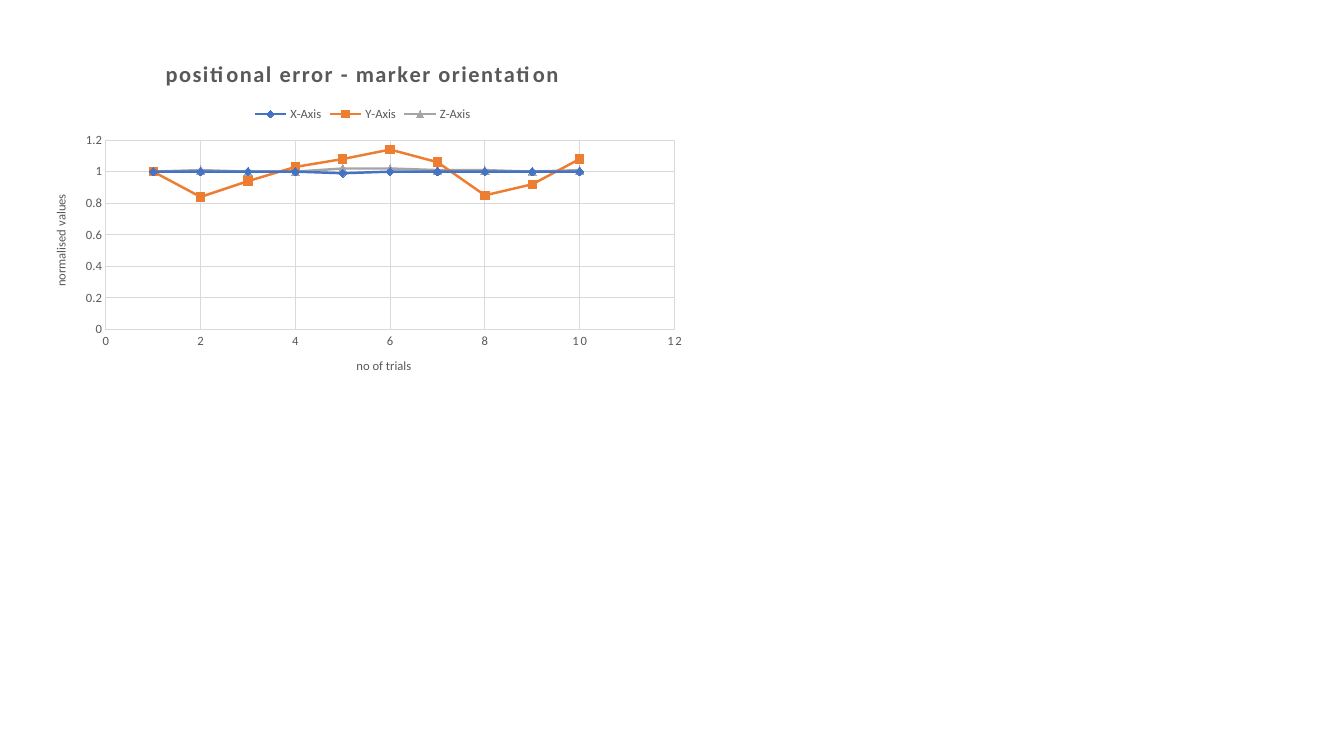
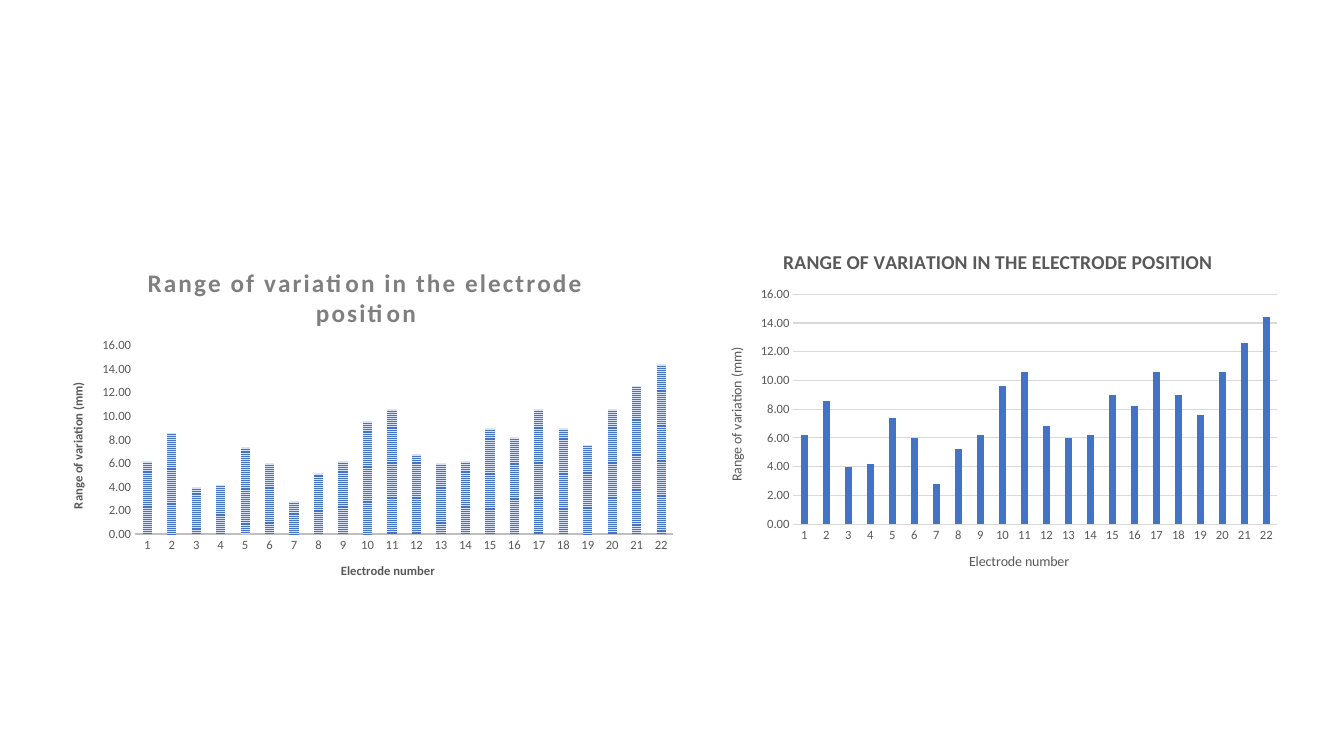
from lxml import etree
from pptx import Presentation
from pptx.chart.data import CategoryChartData, XyChartData
from pptx.dml.color import RGBColor
from pptx.enum.chart import XL_CHART_TYPE as Kind
from pptx.enum.chart import XL_LEGEND_POSITION as LegendSpot
from pptx.enum.chart import XL_MARKER_STYLE as Marker
from pptx.enum.chart import XL_TICK_MARK as Tick
from pptx.enum.dml import MSO_PATTERN as Pattern
from pptx.oxml.ns import qn
from pptx.util import Emu, Pt

PX = 9144  # 100 px to the inch
TEXT, GRID, BLUE = "595959", "D9D9D9", "4472C4"


def px(length):
    return Emu(length * PX)


def color(code):
    return RGBColor.from_string(code)


class ChartDeck:
    """Holds the chart style and the current slide."""
    font_name = "Calibri"

    def __init__(self):
        self.deck = Presentation()
        self.deck.slide_width, self.deck.slide_height = px(1333), px(750)
        self.page = None

    def new_page(self):
        self.page = self.deck.slides.add_slide(self.deck.slide_layouts[6])

    def style_font(self, font, size, code=TEXT, bold=False):
        font.name, font.size, font.bold = self.font_name, Pt(size), bold
        font.color.rgb = color(code)

    def heading(self, owner, text, size, code=TEXT, bold=False, spacing=0):
        """Write the title of a chart or an axis; spacing is in 1/100 pt."""
        para = owner.text_frame.paragraphs[0]
        span = para.add_run()
        span.text = text
        self.style_font(span.font, size, code, bold)
        if spacing:
            span._r.get_or_add_rPr().set("spc", str(spacing))

    def chart(self, kind, data, area, plot_area, title):
        """Add a chart; both areas are left, top, width, height on the page."""
        chart = self.page.shapes.add_chart(kind, *map(px, area), data).chart
        self.style_font(chart.font, 9)
        chart.has_legend = False
        chart.has_title = True
        self.heading(chart.chart_title, bold=True, **title)
        chart.chart_title.include_in_layout = False
        chart.plots[0].vary_by_categories = False
        self.place_plot(chart, area, plot_area)
        return chart

    def place_plot(self, chart, area, plot_area):
        plot = chart._chartSpace.find(".//" + qn("c:plotArea"))
        for old in plot.findall(qn("c:layout")):
            plot.remove(old)
        layout = etree.Element(qn("c:layout"))
        manual = etree.SubElement(layout, qn("c:manualLayout"))
        left, top, width, height = area
        shares = {"x": (plot_area[0] - left) / width,
                  "y": (plot_area[1] - top) / height,
                  "w": plot_area[2] / width, "h": plot_area[3] / height}
        settings = {"layoutTarget": "inner", "xMode": "edge", "yMode": "edge",
                    **shares}
        for name, value in settings.items():
            etree.SubElement(manual, qn("c:" + name)).set("val", str(value))
        plot.insert(0, layout)

    def axis(self, axis, title, size=9, bold=False, line=None, weight=0.75,
             grid=False, scale=None, number_format=None, spacing=0):
        """Format an axis; scale is its maximum and major unit."""
        axis.has_title = True
        self.heading(axis.axis_title, title, size, bold=bold)
        axis.major_tick_mark = axis.minor_tick_mark = Tick.NONE
        self.style_font(axis.tick_labels.font, 9)
        if spacing:
            for props in axis._element.xpath("c:txPr//a:defRPr"):
                props.set("spc", str(spacing))
        if number_format:
            axis.tick_labels.number_format = number_format
            axis.tick_labels.number_format_is_linked = False
        if scale:
            axis.minimum_scale = 0
            axis.maximum_scale, axis.major_unit = scale
        if line:
            self.line(axis.format.line, line, weight)
        else:
            axis.format.line.fill.background()
        axis.has_major_gridlines = grid
        if grid:
            self.line(axis.major_gridlines.format.line, GRID, 0.75)

    def line(self, line, code, weight):
        line.color.rgb, line.width = color(code), Pt(weight)

    def marked_line(self, series, code, marker):
        series.smooth = False
        self.line(series.format.line, code, 1.75)
        series.marker.style, series.marker.size = marker, 6
        series.marker.format.fill.solid()
        series.marker.format.fill.fore_color.rgb = color(code)
        self.line(series.marker.format.line, code, 0.75)

    def electrode_columns(self, area, plot_area, title, gap, overlap, axis_text,
                          base_line, grid, back=None):
        """Column chart of the electrode ranges, hatched when back is given."""
        data = CategoryChartData(number_format="0.00")
        data.categories = [str(n) for n in range(1, len(RANGES) + 1)]
        data.add_series("Series 1", RANGES)
        chart = self.chart(Kind.COLUMN_CLUSTERED, data, area, plot_area, title)
        chart.plots[0].gap_width, chart.plots[0].overlap = gap, overlap
        self.axis(chart.category_axis, "Electrode number",
                  **axis_text, **base_line)
        self.axis(chart.value_axis, "Range of variation (mm)", **axis_text,
                  grid=grid, scale=(16, 2), number_format="0.00")
        series = chart.series[0]
        series.invert_if_negative = False
        fill = series.format.fill
        if back:
            fill.patterned()
            fill.pattern = Pattern.NARROW_HORIZONTAL
            fill.back_color.rgb = color(back)
        else:
            fill.solid()
        fill.fore_color.rgb = color(BLUE)


# Values
TRIALS = [
    ("X-Axis", BLUE, Marker.DIAMOND, [1, 1, 1, 1, 0.99, 1, 1, 1, 1, 1]),
    ("Y-Axis", "ED7D31", Marker.SQUARE,
     [1, 0.84, 0.94, 1.03, 1.08, 1.14, 1.06, 0.85, 0.92, 1.08]),
    ("Z-Axis", "A5A5A5", Marker.TRIANGLE,
     [1, 1.01, 1, 1, 1.02, 1.02, 1.01, 1.01, 1, 1.01]),
]
RANGES = [6.2, 8.6, 4, 4.2, 7.4, 6, 2.8, 5.2, 6.2, 9.6, 10.6,
          6.8, 6, 6.2, 9, 8.2, 10.6, 9, 7.6, 10.6, 12.6, 14.4]


def marker_page(show):
    show.new_page()
    data = XyChartData()
    for name, _, _, values in TRIALS:
        series = data.add_series(name)
        for trial, value in enumerate(values, 1):
            series.add_data_point(trial, value)
    chart = show.chart(
        Kind.XY_SCATTER_LINES, data, (30, 42, 659, 352), (105, 139, 564, 188),
        dict(text="positional error - marker orientation", size=16, spacing=120))
    show.axis(chart.category_axis, "no of trials", line=GRID, grid=True,
              scale=(12, 2), spacing=120)
    show.axis(chart.value_axis, "normalised values", line=GRID, grid=True,
              scale=(1.2, 0.2))
    for series, (_, code, marker, _) in zip(chart.series, TRIALS):
        show.marked_line(series, code, marker)
    chart.has_legend = True
    chart.legend.position = LegendSpot.TOP
    chart.legend.include_in_layout = False
    show.style_font(chart.legend.font, 9)


def electrode_page(show):
    show.new_page()
    # Hatched columns on the left
    show.electrode_columns(
        (46, 246, 634, 351), (134, 343, 534, 187),
        dict(text="Range of variation in the electrode position", size=18,
             code="7F7F7F", spacing=150),
        164, -22, dict(size=9, bold=True), dict(line="BFBFBF", weight=1.5),
        grid=False, back="DAE3F3")
    # Plain columns on the right
    show.electrode_columns(
        (701, 230, 578, 356), (787, 292, 480, 228),
        dict(text="RANGE OF VARIATION IN THE ELECTRODE POSITION", size=14),
        219, -27, dict(size=10), dict(line=GRID), grid=True)


def main():
    show = ChartDeck()
    marker_page(show)
    electrode_page(show)
    show.deck.save("out.pptx")


if __name__ == "__main__":
    main()
